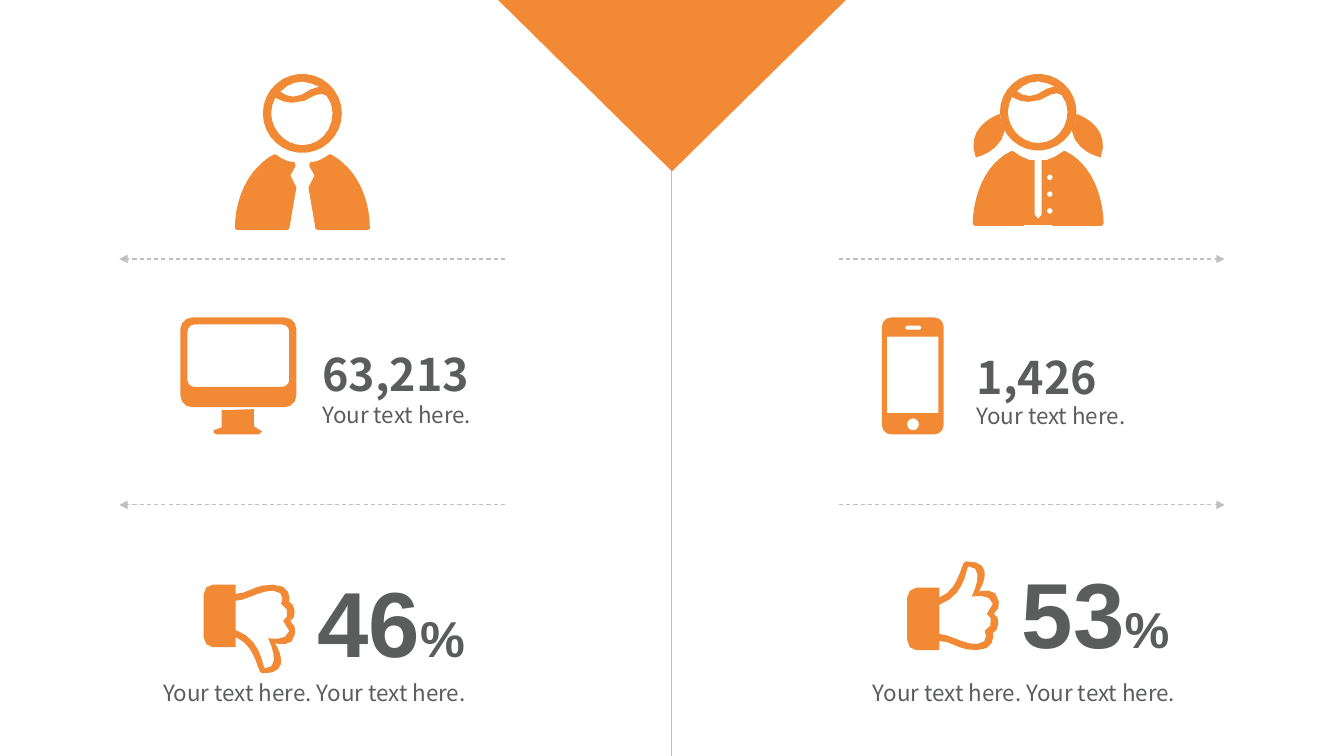
"""Build a two-column audience comparison slide with icons and figures."""
import math
from dataclasses import dataclass

import pptx
import pptx.dml.color
import pptx.enum.dml
import pptx.enum.shapes
import pptx.enum.text
import pptx.oxml
import pptx.oxml.ns
import pptx.util

Pt = pptx.util.Pt
Point = tuple[float, float]
Contour = list[Point]

COLORS = {"accent": "F28A35", "text": "5B5D5C", "rule": "BFBFBF"}
FORMATS = {
    "caption": {"name": "Noto Sans CJK SC", "size": Pt(16), "bold": False},
    "count": {"name": "Noto Sans CJK SC", "size": Pt(32), "bold": True},
    "share": {"name": "Arial", "size": Pt(66), "bold": True},
    "percent": {"name": "Arial", "size": Pt(36), "bold": True},
}
SLIDE_WIDTH, SLIDE_HEIGHT = 960, 540
CENTER = SLIDE_WIDTH / 2
SEGMENT = 6


@dataclass
class Icon:
    contours: list[Contour]
    left: float = 0
    top: float = 0
    scale_x: float = 1
    scale_y: float = 1


@dataclass
class Label:
    left: float
    top: float
    width: float
    height: float
    runs: list[tuple[str, str]]
    wrap: bool = True


@dataclass
class Rule:
    start: Point
    end: Point
    arrow: bool = True


def color(key: str) -> pptx.dml.color.RGBColor:
    return pptx.dml.color.RGBColor.from_string(COLORS[key])


def trace(*steps: tuple[float, ...]) -> Contour:
    points = [steps[0]]
    for step in steps[1:]:
        if len(step) == 2:
            points.append(step)
            continue
        x0, y0 = points[-1]
        x1, y1, x2, y2, x3, y3 = step
        length = math.dist((x0, y0), (x1, y1)) + math.dist((x1, y1), (x2, y2))
        count = max(1, round((length + math.dist((x2, y2), (x3, y3))) / SEGMENT))
        for i in range(1, count + 1):
            t = i / count
            a, b, c, d = (1 - t) ** 3, 3 * t * (1 - t) ** 2, 3 * t * t * (1 - t), t ** 3
            points.append((a * x0 + b * x1 + c * x2 + d * x3, a * y0 + b * y1 + c * y2 + d * y3))
    return points


def arc(x: float, y: float, radius: float, start: int = 0, sweep: int = 360) -> Contour:
    if radius == 0:
        return [(x, y)]
    count = max(sweep // 30, round(radius * math.radians(sweep) / SEGMENT))
    angles = [math.radians(start + sweep * i / count) for i in range(count + 1)]
    return [(x + radius * math.cos(a), y + radius * math.sin(a)) for a in angles]


def panel(left: float, top: float, width: float, height: float, radius: float = 0) -> Contour:
    x0, x1 = left + radius, left + width - radius
    y0, y1 = top + radius, top + height - radius
    corners = [(x1, y1, 0), (x0, y1, 90), (x0, y0, 180), (x1, y0, 270)]
    return [p for x, y, start in corners for p in arc(x, y, radius, start, 90)]


def draw_icon(shapes, icon: Icon) -> None:
    placed = [
        [(Pt(icon.left + x * icon.scale_x), Pt(icon.top + y * icon.scale_y)) for x, y in contour]
        for contour in icon.contours
    ]
    builder = shapes.build_freeform(*placed[0][0], scale=1.0)
    builder.add_line_segments(placed[0][1:], close=True)
    for contour in placed[1:]:
        builder.move_to(*contour[0])
        builder.add_line_segments(contour[1:], close=True)
    paint(builder.convert_to_shape())


def paint(shape) -> None:
    shape.shadow.inherit = False
    shape.fill.solid()
    shape.fill.fore_color.rgb = color("accent")
    shape.line.fill.background()


def draw_label(shapes, label: Label) -> None:
    box = shapes.add_textbox(Pt(label.left), Pt(label.top), Pt(label.width), Pt(label.height))
    box.text_frame.word_wrap = label.wrap
    box.text_frame.auto_size = pptx.enum.text.MSO_AUTO_SIZE.SHAPE_TO_FIT_TEXT
    for text, style in label.runs:
        run = box.text_frame.paragraphs[0].add_run()
        run.text = text
        run.font.color.rgb = color("text")
        for attribute, value in FORMATS[style].items():
            setattr(run.font, attribute, value)


def draw_rule(shapes, rule: Rule) -> None:
    ends = [Pt(v) for v in (*rule.start, *rule.end)]
    line = shapes.add_connector(pptx.enum.shapes.MSO_CONNECTOR.STRAIGHT, *ends)
    line.line.color.rgb = color("rule")
    line.line.width = Pt(0.75)
    if rule.arrow:
        line.line.dash_style = pptx.enum.dml.MSO_LINE.DASH
        tail = pptx.oxml.parse_xml(f'<a:tailEnd {pptx.oxml.ns.nsdecls("a")} type="triangle"/>')
        line.line._get_or_add_ln().append(tail)
    effects = pptx.oxml.parse_xml(f'<a:effectLst {pptx.oxml.ns.nsdecls("a")}/>')
    line._element.spPr.append(effects)


HEAD = [
    arc(0, 28.4, 28.2),
    trace((0, 5.7), (4.3, 5.7, 7.9, 7.9, 12.2, 9.3), (8.6, 10, 4.3, 11.5, -0.7, 15.1),
          (-6.5, 18, -12.2, 15.8, -15.8, 12.9), (-11.5, 8.6, -6.5, 5.7, 0, 5.7)),
    trace((0, 51.1), (-11.5, 51.1, -22.3, 41, -22.3, 28), (-22.3, 24.4, -20.9, 20.1, -19.4, 17.2),
          (-15.8, 19.4, -11.5, 20.8, -7.2, 20.8), (-3.6, 20.8, -1.4, 20.1, 1.4, 19.4),
          (11.5, 13.6, 13.7, 13.6, 17.3, 15.8), (20.2, 19.4, 21.6, 23.7, 21.6, 28),
          (21.6, 41, 12.2, 51.1, 0, 51.1)),
]
JACKET_HALF = [trace(
    (20.2, 0.8), (19.4, 0.8), (15.1, 3.6, 10.8, 6.5, 5.8, 6.5), (5, 8), (5, 9.4),
    (7.9, 10.8, 8.6, 13.7, 8.6, 15.9), (8.6, 18.8, 7.2, 21.6, 5, 23.1), (4.3, 24.5),
    (9.4, 54), (10.8, 54.8), (46.8, 54.8), (48.2, 54), (48.2, 29.6, 36.7, 9.4, 20.2, 0.8))]
PONYTAIL = [trace((23.8, 40.3), (26.6, 56.2, 44.6, 59.8, 44.6, 59.8),
                  (51.8, 40.3, 33.8, 31, 27.4, 28.8), (27, 33, 26, 37, 23.8, 40.3))]
COAT_HALF = trace(
    (0, 49), (1.4, 49, 2.5, 47.5, 2.5, 46.1), (2.5, 7.2), (5.8, 7.2),
    (10.1, 5.8, 14.4, 3.6, 18, 0.7), (19.4, 0.7), (36, 8.6, 46.1, 28.8, 46.8, 52.6),
    (45.4, 54), (10.4, 54), (9.7, 53.3), (0, 53.3))
COAT = [COAT_HALF + [(-x, y) for x, y in reversed(COAT_HALF)]]
COAT += [arc(8.3, 19.4 + 12 * button, 2) for button in range(3)]
MONITOR = [
    panel(0, 0, 82.8, 64.1, 8.3),
    panel(5, 5, 72.7, 44.6, 5),
    trace((52.5, 77.8), (52.5, 65.5), (29.5, 66.2), (29.5, 78.5), (23.7, 80.6),
          (23.7, 82.5), (25.9, 83.5), (56.1, 83.5), (58.3, 81.4)),
]
PHONE = [panel(0, 0, 44, 83.5, 6.5), panel(16.6, 5.8, 11.5, 2.9, 1.4),
         arc(22.2, 76.3, 4.3), panel(3.6, 13.7, 36.7, 54.7)]
THUMB = [
    trace((61.9, 38.2), (67, 39.6, 65.5, 51.1, 61.2, 51.8), (61.9, 54.7, 61.9, 64.1, 49.7, 64.1),
          (35.3, 64.1, 32.4, 57.6, 23, 57.6), (23, 64.1), (6.5, 64.1),
          (2.9, 64.1, 0, 61.2, 0, 56.9), (0, 26.6), (0, 23, 2.9, 19.4, 6.5, 19.4), (23, 19.4),
          (23, 26.6), (38.2, 20.2, 38.2, 0.7, 41.8, 0.7), (65.5, 0, 51.1, 22.3, 51.1, 22.3),
          (51.1, 22.3, 64.8, 18, 65.5, 29.5), (65.5, 33.1, 65.5, 35.3, 61.9, 38.2)),
    trace((46.1, 25.9), (46.1, 25.9, 56.9, 4.3, 43.9, 4.3), (41.8, 4.3, 42.5, 24.5, 23, 31.7),
          (23, 52.6), (30.2, 52.6, 39.6, 59.8, 49.7, 59.8), (57.6, 59.8, 56.9, 52.6, 55.4, 50.4),
          (61.9, 48.2, 60.5, 38.9, 56.9, 38.2), (59.8, 33.8, 60.5, 33.1, 61.2, 31),
          (59.8, 23, 46.1, 25.9, 46.1, 25.9)),
]

MAN, WOMAN = 216, 741.6
ICONS = [Icon(HEAD, MAN, 52.6), Icon(HEAD, WOMAN, 52.6, 0.97, 0.97), Icon(COAT, WOMAN, 107.3),
         Icon(MONITOR, 128.9, 226.8), Icon(PHONE, 630, 226.8),
         Icon(THUMB, 145.4, 481.7, scale_y=-1), Icon(THUMB, 648, 400.3)]
for side in (-1, 1):
    ICONS += [Icon(JACKET_HALF, MAN, 109.4, side), Icon(PONYTAIL, WOMAN, 52.6, side)]
RULES = [Rule((CENTER + side * 119.3, y), (CENTER + side * 394.8, y))
         for side in (-1, 1) for y in (185, 360.7)]
CAPTION = "Your text here."
LABELS = [
    Label(223.2, 283, 136, 27, [(CAPTION, "caption")]),
    Label(223.2, 244.1, 145.4, 47.5, [("63,213", "count")]),
    Label(690.5, 283.7, 136, 27, [(CAPTION, "caption")]),
    Label(690.5, 246.2, 145.4, 46, [("1,426", "count")]),
    Label(219.6, 400.3, 121, 87, [("46", "share"), ("%", "percent")], wrap=False),
    Label(722.9, 393.8, 121, 87, [("53", "share"), ("%", "percent")], wrap=False),
    Label(109.4, 481.7, 255, 27, [(f"{CAPTION} {CAPTION}", "caption")]),
    Label(616.3, 481.7, 255, 27, [(f"{CAPTION} {CAPTION}", "caption")]),
]


def main() -> None:
    deck = pptx.Presentation()
    deck.slide_width, deck.slide_height = Pt(SLIDE_WIDTH), Pt(SLIDE_HEIGHT)
    shapes = deck.slides.add_slide(deck.slide_layouts[6]).shapes
    for rule in [Rule((CENTER, 0), (CENTER, SLIDE_HEIGHT), arrow=False), *RULES]:
        draw_rule(shapes, rule)
    for icon in ICONS:
        draw_icon(shapes, icon)
    for label in LABELS:
        draw_label(shapes, label)
    pointer = shapes.add_shape(pptx.enum.shapes.MSO_SHAPE.ISOSCELES_TRIANGLE,
                               Pt(CENTER - 124.2), Pt(0), Pt(248.4), Pt(122.4))
    pointer.rotation = 180
    paint(pointer)
    deck.save("out.pptx")


if __name__ == "__main__":
    main()
